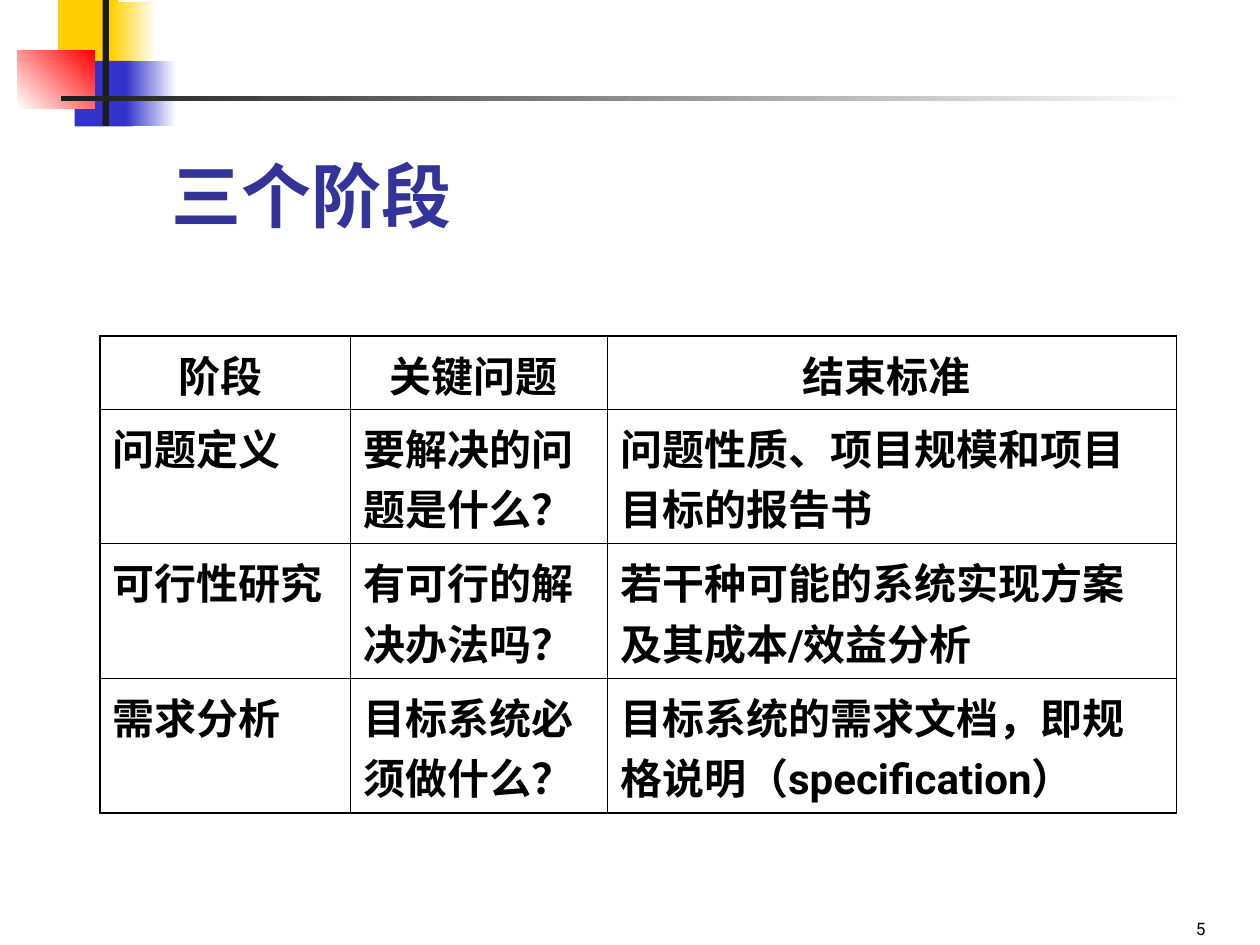
import itertools

import pptx
import pptx.dml.color
import pptx.enum.shapes
import pptx.enum.text
import pptx.oxml
import pptx.oxml.ns
import pptx.util

COLUMNS, ROWS = 100, 75
UNIT = pptx.util.Inches(10) // COLUMNS
FONT = "Roboto"
COLORS = {
    "yellow": "FFCF01",
    "blue": "3333CC",
    "red": "FF0000",
    "bar": "1C1C1C",
    "white": "FFFFFF",
    "title": "333399",
    "text": "000000",
}
ALIGN = pptx.enum.text.PP_ALIGN
ANCHOR = pptx.enum.text.MSO_ANCHOR
OUTER_BORDER, INNER_BORDER = 1.08, 0.45
TABLE_LINE_SPACING = 1.22
STAGES = [
    ["阶段 ", "关键问题 ", "结束标准 "],
    ["问题定义", "要解决的问题是什么？", "问题性质、项目规模和项目目标的报告书"],
    ["可行性研究", "有可行的解决办法吗？", "若干种可能的系统实现方案及其成本/效益分析"],
    ["需求分析", "目标系统必须做什么？", "目标系统的需求文档，即规格说明（specification）"],
]


def color(name):
    """Return the named colour."""
    return pptx.dml.color.RGBColor.from_string(COLORS[name])


def units(*lengths):
    """Convert grid units to slide lengths."""
    return [round(length * UNIT) for length in lengths]


def write(frame, text, size, tint="text", bold=False, align=ALIGN.LEFT):
    """Write one formatted run into the first paragraph of a frame."""
    frame.word_wrap = True
    paragraph = frame.paragraphs[0]
    paragraph.alignment = align
    run = paragraph.add_run()
    run.text = text
    run.font.size = pptx.util.Pt(size)
    run.font.bold = bold
    run.font.name = FONT
    run.font.color.rgb = color(tint)
    east_asian = pptx.oxml.parse_xml(
        f'<a:ea {pptx.oxml.ns.nsdecls("a")} typeface="{FONT}"/>')
    run.font._element.find(pptx.oxml.ns.qn("a:latin")).addnext(east_asian)
    return paragraph


def add_block(slide, box, start, end=None, angle=0):
    """Add a borderless rectangle with a plain or fading fill."""
    block = slide.shapes.add_shape(
        pptx.enum.shapes.MSO_SHAPE.RECTANGLE, *units(*box))
    block.shadow.inherit = False
    block.line.fill.background()
    if end is None:
        block.fill.solid()
        block.fill.fore_color.rgb = color(start)
        return
    block.fill.gradient()
    block.fill.gradient_angle = angle
    for stop, tint in zip(block.fill.gradient_stops, (start, end)):
        stop.color.rgb = color(tint)


def add_ornament(slide, left, top):
    """Draw the coloured corner blocks and the crossing bars."""
    blocks = [
        ((3.2, 0, 4.8, 5.2), "yellow"),
        ((7.4, 0.15, 3.6, 5.2), "yellow", "white"),
        ((4.53, 4.84, 4.6, 5.2), "blue"),
        ((8.6, 4.84, 4, 5.2), "blue", "white"),
        ((0, 4, 6.1, 4.6), "white", "red", 45),
        ((6.75, 0, 0.5, 10), "bar"),
        ((3.45, 7.65, 90, 0.35), "bar", "white"),
    ]
    for (x, y, width, height), *fill in blocks:
        add_block(slide, (left + x, top + y, width, height), *fill)


def add_title(slide, box):
    """Place and format the title."""
    title = slide.shapes.title
    title.left, title.top, title.width, title.height = units(*box)
    title.text_frame.vertical_anchor = ANCHOR.BOTTOM
    title.text_frame.auto_size = pptx.enum.text.MSO_AUTO_SIZE.NONE
    write(title.text_frame, "三个阶段", 40, "title", True)


def set_borders(cell, widths):
    """Draw the left, right, top and bottom borders of a cell."""
    properties = cell._tc.get_or_add_tcPr()
    for index, (side, width) in enumerate(zip("LRTB", widths)):
        border = pptx.oxml.parse_xml(
            f'<a:ln{side} {pptx.oxml.ns.nsdecls("a")} w="{pptx.util.Pt(width)}">'
            f'<a:solidFill><a:srgbClr val="{COLORS["text"]}"/></a:solidFill>'
            f'</a:ln{side}>')
        properties.insert(index, border)


def add_stage_table(slide, left, top, column_widths, row_heights):
    """Add the table of stages, key questions and end criteria."""
    box = left, top, sum(column_widths), sum(row_heights)
    last_row, last_column = len(row_heights) - 1, len(column_widths) - 1
    table = slide.shapes.add_table(
        last_row + 1, last_column + 1, *units(*box)).table
    table.first_row = table.horz_banding = False
    for column, width in zip(table.columns, units(*column_widths)):
        column.width = width
    for row, height in zip(table.rows, units(*row_heights)):
        row.height = height
    for r, c in itertools.product(range(last_row + 1), range(last_column + 1)):
        cell = table.cell(r, c)
        cell.fill.background()
        outer_sides = c == 0, c == last_column, r == 0, r == last_row
        set_borders(cell, [OUTER_BORDER if outer else INNER_BORDER
                           for outer in outer_sides])
        align = ALIGN.CENTER if r == 0 else ALIGN.LEFT
        paragraph = write(
            cell.text_frame, STAGES[r][c], 24, bold=True, align=align)
        paragraph.line_spacing = TABLE_LINE_SPACING


def add_page_number(slide, box):
    """Add the page number at the lower right."""
    frame = slide.shapes.add_textbox(*units(*box)).text_frame
    frame.vertical_anchor = ANCHOR.BOTTOM
    write(frame, "5", 9.8, align=ALIGN.RIGHT)


def main():
    """Build the slide and save it."""
    deck = pptx.Presentation()
    deck.slide_width, deck.slide_height = units(COLUMNS, ROWS)
    slide = deck.slides.add_slide(deck.slide_layouts.get_by_name("Title Only"))
    add_ornament(slide, 1.4, 0)
    add_title(slide, (12.6, 12.5, 40.7, 6.8))
    add_stage_table(slide, 7.94, 26.68, [19.88, 20.4, 45.15], [5.8] + [10.68] * 3)
    add_page_number(slide, (75.85, 70, 20.8, 5))
    deck.save("out.pptx")


if __name__ == "__main__":
    main()
